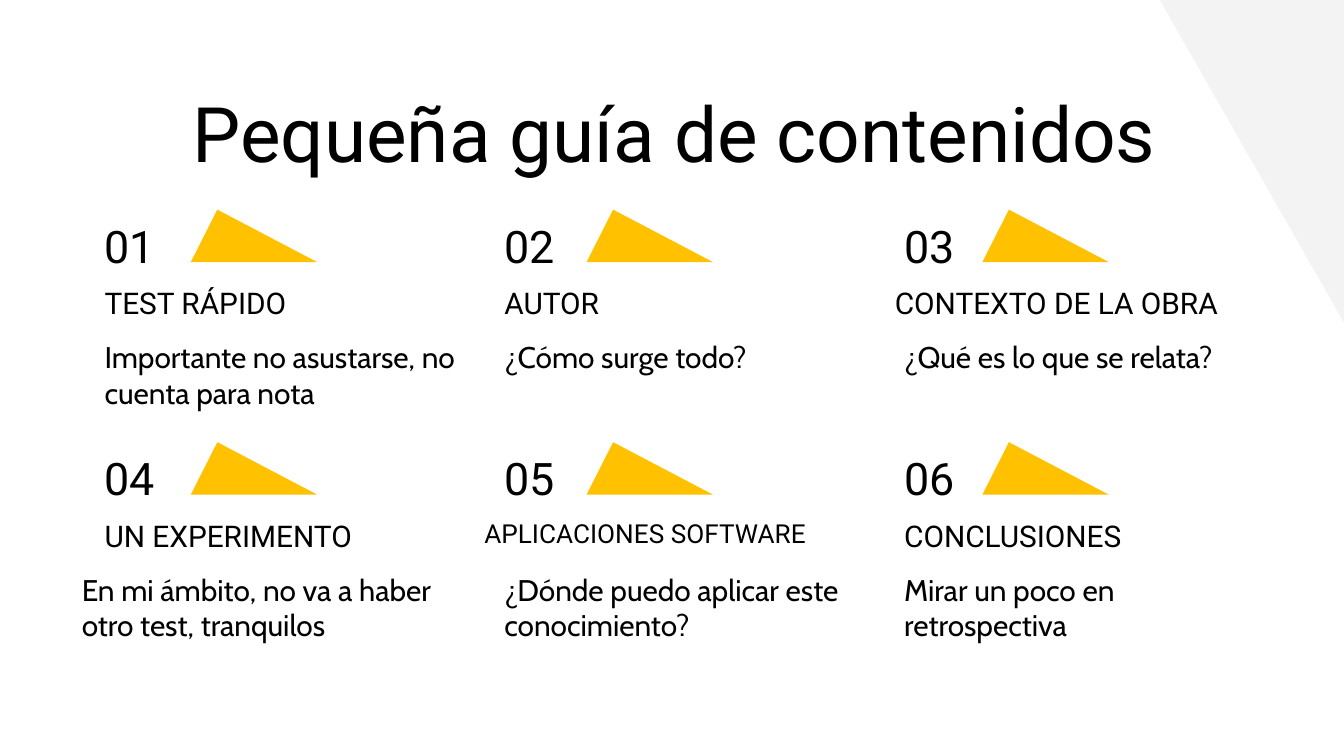
from pptx import Presentation
from pptx.dml.color import RGBColor
from pptx.enum import shapes, text
from pptx.util import Inches, Pt

COLORS = {"ink": "000000", "accent": "FFC100", "corner": "F3F3F3"}
COLUMN_STEP, ROW_STEP, MARKER_STEP = 5.95 / 2, 1.73, 5.89 / 2
LINE_HEIGHT = 0.39
TOPICS = [
    {"heading": "TEST RÁPIDO", "detail": "Importante no asustarse, no cuenta para nota"},
    {"heading": "AUTOR", "detail": "¿Cómo surge todo?"},
    {"heading": "CONTEXTO DE LA OBRA", "detail": "¿Qué es lo que se relata?",
     "heading_shift": -0.07, "heading_width": 2.75},
    {"heading": "UN EXPERIMENTO", "detail": "En mi ámbito, no va a haber otro test, tranquilos",
     "detail_shift": -0.17},
    {"heading": "APLICACIONES SOFTWARE", "detail": "¿Dónde puedo aplicar este conocimiento?",
     "heading_shift": -0.15, "heading_width": 2.75, "heading_size": 14},
    {"heading": "CONCLUSIONES", "detail": "Mirar un poco en retrospectiva"},
]


def add_shape(page, kind, left, top, width, height, color):
    """Add a plain filled shape and return it."""
    shape = page.shapes.add_shape(
        kind, Inches(left), Inches(top), Inches(width), Inches(height))
    shape.shadow.inherit = False
    shape.fill.solid()
    shape.fill.fore_color.rgb = RGBColor.from_string(COLORS[color])
    shape.line.fill.background()
    return shape


def add_text(page, words, left, top, width, height, size, font="Roboto",
             align=text.PP_ALIGN.LEFT, anchor=text.MSO_ANCHOR.TOP):
    """Add a wrapped text box holding one paragraph."""
    box = page.shapes.add_textbox(
        Inches(left), Inches(top), Inches(width), Inches(height))
    frame = box.text_frame
    frame.word_wrap = True
    frame.vertical_anchor = anchor
    frame.margin_left = frame.margin_right = Inches(0.1)
    frame.margin_top = frame.margin_bottom = Inches(0.1)
    frame.text = words
    para = frame.paragraphs[0]
    para.alignment = align
    span = para.runs[0]
    span.font.size = Pt(size)
    span.font.name = font
    span.font.color.rgb = RGBColor.from_string(COLORS["ink"])


def add_corner(page, left, top, width, height):
    """Add the pale triangle in the top right corner."""
    corner = add_shape(page, shapes.MSO_SHAPE.RIGHT_TRIANGLE,
                       left, top, width, height, "corner")
    corner.rotation = 180


def add_topic(page, number, topic, left, top, marker_left):
    """Add one numbered topic with its marker, heading and detail."""
    marker = add_shape(page, shapes.MSO_SHAPE.ISOSCELES_TRIANGLE,
                       marker_left, top - 0.07, 0.94, LINE_HEIGHT, "accent")
    marker.adjustments[0] = 0.21
    add_text(page, f"{number:02}", left, top, 1.18, LINE_HEIGHT, 24,
             anchor=text.MSO_ANCHOR.MIDDLE)
    add_text(page, topic["heading"], left + topic.get("heading_shift", 0),
             top + LINE_HEIGHT, topic.get("heading_width", 2.36), LINE_HEIGHT,
             topic.get("heading_size", 16))
    shift = topic.get("detail_shift", 0)
    add_text(page, topic["detail"], left + shift, top + 0.79,
             2.84 - shift, LINE_HEIGHT, 16, font="Cabin")


def add_topics(page, left, top, marker_left):
    """Lay the topics out in a grid of three columns."""
    for index, topic in enumerate(TOPICS):
        row, column = divmod(index, 3)
        add_topic(page, index + 1, topic, left + column * COLUMN_STEP,
                  top + row * ROW_STEP, marker_left + column * MARKER_STEP)


def main():
    """Build and save the contents slide."""
    deck = Presentation()
    deck.slide_width = Inches(10)
    deck.slide_height = deck.slide_width * 9 // 16
    page = deck.slides.add_slide(deck.slide_layouts[6])
    add_corner(page, 8.63, 0, 1.37, 2.4)
    add_text(page, "Pequeña guía de contenidos", 0.59, 0.54, 8.86, 0.63, 41,
             align=text.PP_ALIGN.CENTER)
    add_topics(page, 0.68, 1.63, 1.42)
    deck.save("out.pptx")


if __name__ == "__main__":
    main()
